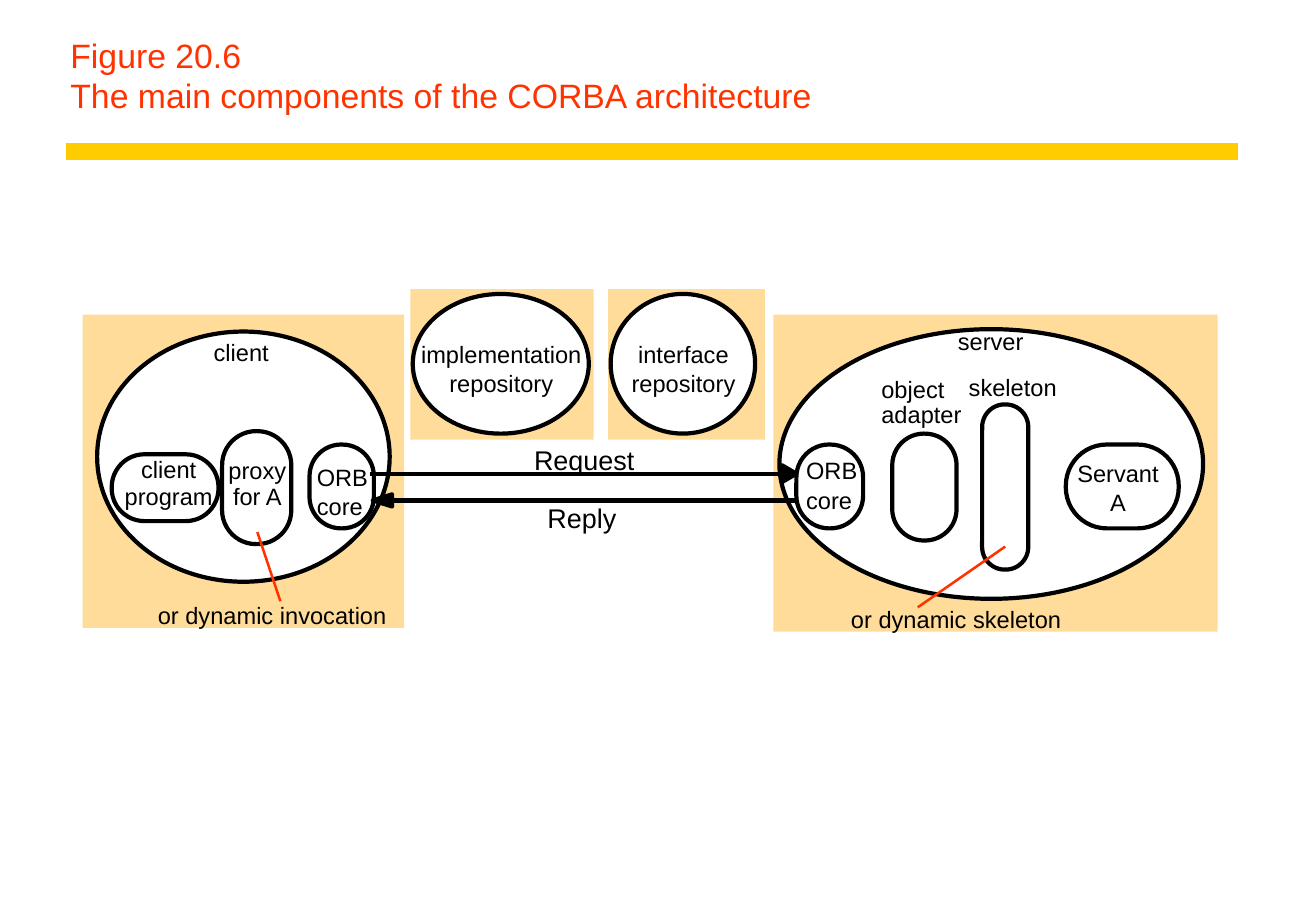
import pptx
import pptx.dml.color
import pptx.enum.shapes
import pptx.enum.text
import pptx.util
from lxml import etree
from pptx.oxml.ns import qn
from pptx.util import Inches

COLORS = {
    "title": "FF3300",
    "rule": "FFCC00",
    "panel": "FFDC99",
    "white": "FFFFFF",
    "black": "000000",
    "pointer": "FF3300",
}
FONT = "Arial"
OUTLINE = 2.5
SHAPES = pptx.enum.shapes.MSO_SHAPE
LEFT = pptx.enum.text.PP_ALIGN.LEFT
CENTER = pptx.enum.text.PP_ALIGN.CENTER

# left, top, width, height
PANELS = [
    (3.38, 2.38, 1.51, 1.24),
    (5.01, 2.38, 1.29, 1.24),
    (0.68, 2.59, 2.65, 2.58),
    (6.37, 2.59, 3.66, 2.61),
]
ELLIPSES = [
    (3.4, 2.42, 1.45, 1.15),
    (5.03, 2.42, 1.19, 1.15),
    (0.8, 2.73, 2.41, 2.06),
    (6.42, 2.71, 3.49, 2.22),
]
COMPONENTS = [
    (0.92, 3.74, 0.88, 0.55),
    (1.83, 3.55, 0.57, 0.93),
    (2.55, 3.66, 0.53, 0.69),
    (6.56, 3.66, 0.55, 0.69),
    (7.35, 3.57, 0.53, 0.88),
    (8.09, 3.33, 0.38, 1.36),
    (8.78, 3.66, 0.93, 0.69),
]
# lines of text, left, top, width, alignment, distance between lines
LABELS = [
    (["client"], 1.76, 2.78, 0.5, LEFT, 0.23),
    (["server"], 7.89, 2.69, 0.6, LEFT, 0.23),
    (["skeleton"], 7.98, 3.07, 0.8, LEFT, 0.23),
    (["or dynamic invocation"], 1.3, 4.95, 2, LEFT, 0.23),
    (["or dynamic skeleton"], 7.01, 4.98, 1.9, LEFT, 0.23),
    (["implementation", "repository"], 3.43, 2.79, 1.4, CENTER, 0.24),
    (["interface", "repository"], 5.14, 2.79, 0.98, CENTER, 0.24),
    (["client", "program"], 0.99, 3.76, 0.8, CENTER, 0.22),
    (["proxy", "for A"], 1.85, 3.78, 0.54, CENTER, 0.21),
    (["ORB", "core"], 2.61, 3.8, 0.5, LEFT, 0.24),
    (["ORB", "core"], 6.64, 3.75, 0.5, LEFT, 0.24),
    (["object", "adapter"], 7.26, 3.11, 0.75, LEFT, 0.21),
    (["Servant", "A"], 8.81, 3.77, 0.8, CENTER, 0.24),
]


def rgb(name):
    return pptx.dml.color.RGBColor.from_string(COLORS[name])


def format_paragraph(paragraph, size, color, alignment=LEFT):
    paragraph.alignment = alignment
    paragraph.font.name = FONT
    paragraph.font.size = pptx.util.Pt(size)
    paragraph.font.bold = False
    paragraph.font.color.rgb = rgb(color)


def add_title(slide, text):
    title = slide.shapes.title
    title.left, title.top = Inches(0.48), Inches(0.25)
    title.width, title.height = Inches(9.72), Inches(0.75)
    frame = title.text_frame
    frame.auto_size = pptx.enum.text.MSO_AUTO_SIZE.NONE
    frame.vertical_anchor = pptx.enum.text.MSO_ANCHOR.BOTTOM
    frame.text = text
    format_paragraph(frame.paragraphs[0], 20, "title")


def paint(shape, fill, outlined=True):
    shape.shadow.inherit = False
    shape.fill.solid()
    shape.fill.fore_color.rgb = rgb(fill)
    if outlined:
        shape.line.color.rgb = rgb("black")
        shape.line.width = pptx.util.Pt(OUTLINE)
    else:
        shape.line.fill.background()


def add_area(slide, kind, box, fill, outlined=True):
    shape = slide.shapes.add_shape(kind, *map(Inches, box))
    paint(shape, fill, outlined)
    return shape


def add_line(slide, start, end, color, width):
    connector = slide.shapes.add_connector(
        pptx.enum.shapes.MSO_CONNECTOR.STRAIGHT, *map(Inches, start + end))
    connector.line.color.rgb = rgb(color)
    connector.line.width = pptx.util.Pt(width)
    etree.SubElement(connector._element.spPr, qn("a:effectLst"))


def add_arrow(slide, start, tip, base, half_height):
    """Draw a horizontal line to the base of a solid head that ends at tip."""
    y = start[1]
    add_line(slide, start, (base, y), "black", OUTLINE)
    builder = slide.shapes.build_freeform(
        Inches(base), Inches(y - half_height))
    builder.add_line_segments(
        [(Inches(tip), Inches(y)), (Inches(base), Inches(y + half_height))])
    paint(builder.convert_to_shape(), "black")


def add_label(slide, lines, left, top, width, alignment, pitch, size=14):
    height = pitch * len(lines)
    label = slide.shapes.add_textbox(*map(Inches, (left, top, width, height)))
    frame = label.text_frame
    frame.word_wrap = False
    frame.margin_left = frame.margin_right = 0
    frame.margin_top = frame.margin_bottom = 0
    frame.text = "\n".join(lines)
    for paragraph in frame.paragraphs:
        if len(lines) > 1:
            paragraph.line_spacing = Inches(pitch)
        format_paragraph(paragraph, size, "black", alignment)


def main():
    presentation = pptx.Presentation()
    presentation.slide_width = Inches(10.84)
    presentation.slide_height = Inches(7.5)
    slide = presentation.slides.add_slide(presentation.slide_layouts[5])

    add_line(slide, (0.54, 1.25), (10.2, 1.25), "rule", 10)
    add_title(slide, "Figure 20.6\vThe main components of the CORBA architecture")

    for box in PANELS:
        add_area(slide, SHAPES.RECTANGLE, box, "panel", outlined=False)
    for box in ELLIPSES:
        add_area(slide, SHAPES.OVAL, box, "white")
    for box in COMPONENTS:
        component = add_area(slide, SHAPES.ROUNDED_RECTANGLE, box, "white")
        component.adjustments[0] = 0.49

    add_arrow(slide, (3.05, 3.9), tip=6.56, base=6.44, half_height=0.07)
    add_arrow(slide, (6.56, 4.12), tip=3.07, base=3.23, half_height=0.05)
    add_line(slide, (2.31, 4.95), (2.12, 4.38), "pointer", 1.5)
    add_line(slide, (8.28, 4.5), (7.56, 5), "pointer", 1.5)

    for label in LABELS:
        add_label(slide, *label)
    add_label(slide, ["Request"], 4.4, 3.65, 0.9, LEFT, 0.27, size=16)
    add_label(slide, ["Reply"], 4.51, 4.13, 0.65, LEFT, 0.27, size=16)

    presentation.save("out.pptx")


if __name__ == "__main__":
    main()
